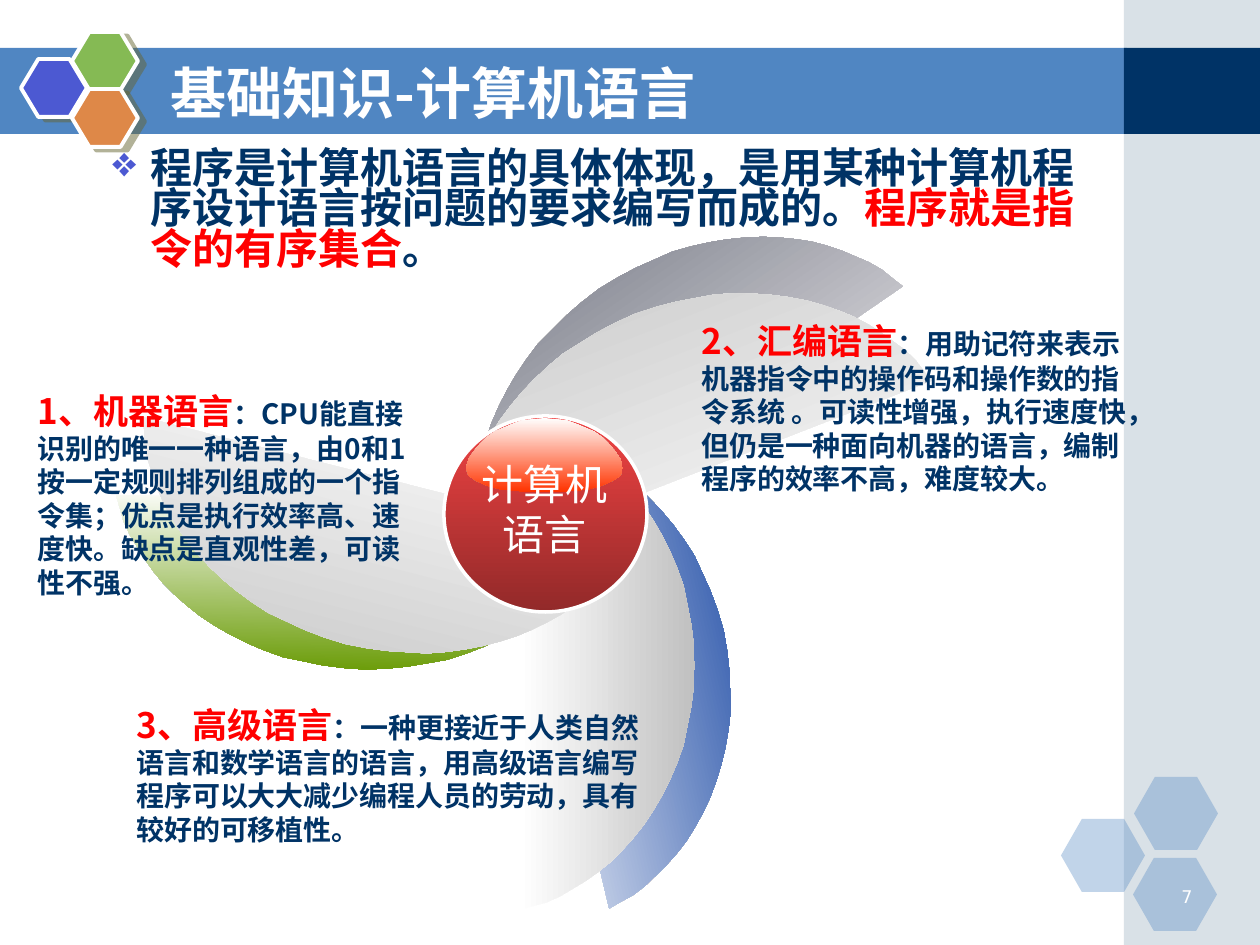
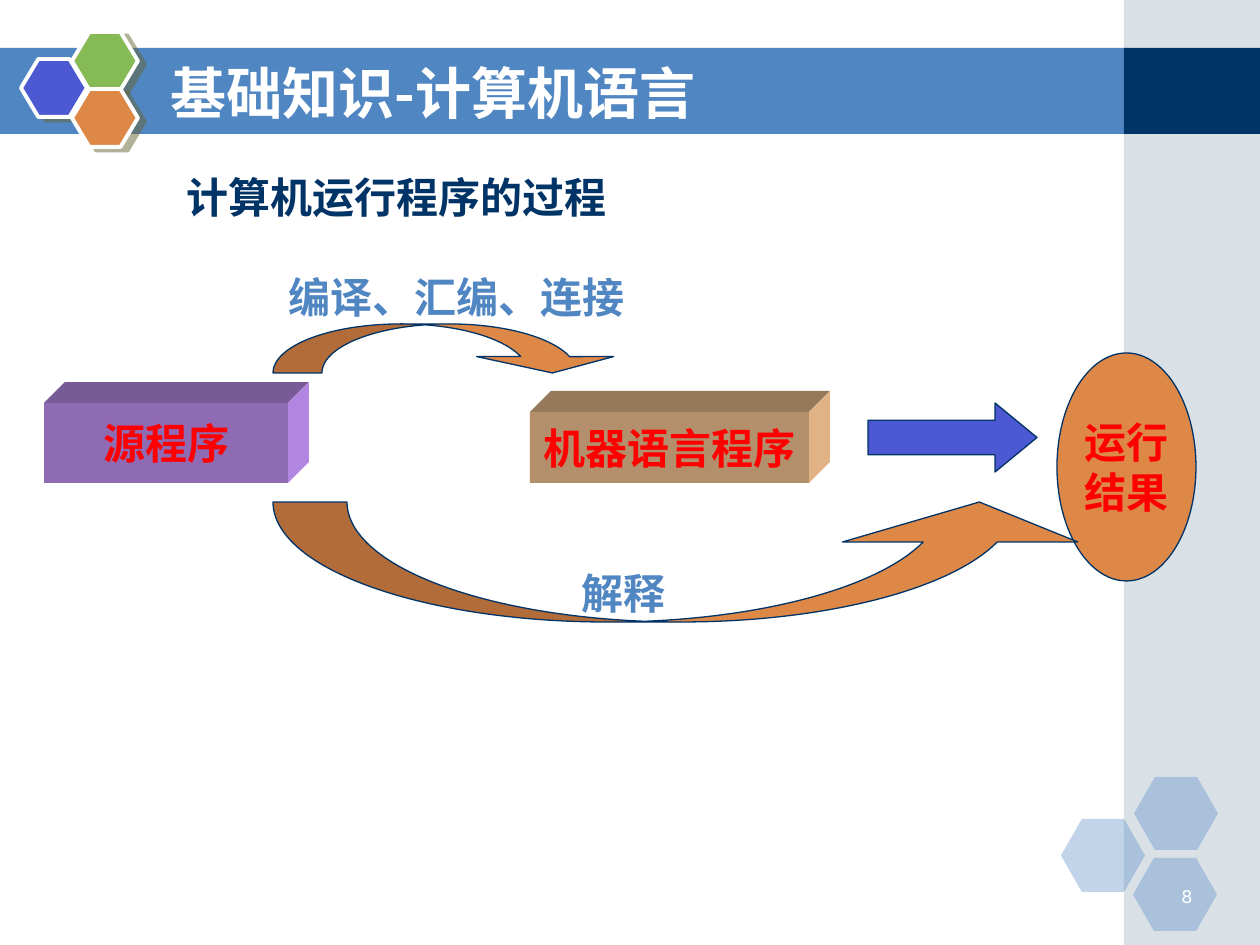
from lxml.etree import SubElement
from pptx import Presentation
from pptx.dml.color import RGBColor
from pptx.enum.shapes import MSO_SHAPE
from pptx.enum.text import MSO_ANCHOR, MSO_AUTO_SIZE, PP_ALIGN
from pptx.oxml.ns import qn
from pptx.util import Emu, Pt

SCALE = 914400 / 126  # EMU per px
C = dict(band="5086C2", side="A0B5C4", navy="003366", white="FFFFFF", red="FF0000",
         blue="4C59D2", green="85BA54", orange="DE8848", shadow="666633",
         grey="C0C0C0", petal_blue="003399", petal_green="669900", petal_grey="565868",
         ball="F14343", ball_dark="922929", gloss="FF3300")
CJK, ARIAL, NUMBER_FONT = "Noto Sans CJK SC", "Arial", "DejaVu Sans"
TITLE = "基础知识-计算机语言"

# Upper half of a petal, mirrored downwards (hundredths of an inch)
PETAL_HALF = [(0, 0), (10, 3), (21, 6), (32, 11), (42, 17), (52, 23), (62, 30), (72, 38),
              (81, 47), (90, 57), (98, 67), (106, 79), (113, 91), (119, 103), (125, 117),
              (130, 131), (133, 146), (136, 161), (138, 177), (139, 194)]
PETAL = PETAL_HALF + [(x, 388 - y) for x, y in PETAL_HALF[-2::-1]]
# Right half of the gloss on the ball, mirrored to the left
GLOSS_HALF = [(0, 0), (9, 1), (18, 2), (26, 5), (33, 8), (40, 11), (47, 16), (52, 21),
              (57, 27), (61, 33), (63, 40), (61, 46), (55, 50), (46, 54), (35, 57),
              (23, 58), (12, 59)]
GLOSS = GLOSS_HALF + [(-x, y) for x, y in GLOSS_HALF[:0:-1]]


def px(n):
    return Emu(round(n * SCALE))


def rgb(name):
    return RGBColor.from_string(C.get(name, name))


def add_run(p, text, size=24, color="navy", bold=True, font=CJK):
    r = p.add_run()
    r.text = text
    r.font.size, r.font.bold, r.font.name = Pt(size), bold, font
    r.font.color.rgb = rgb(color)
    SubElement(r._r.get_or_add_rPr(), qn("a:ea")).set("typeface", CJK)


class Deck:
    def __init__(self):
        self.prs = Presentation()
        self.prs.slide_width, self.prs.slide_height = px(1260), px(945)
        self.s = None

    # Elements
    def style(self, sp, fill, line=None, width=0.75, alpha=None):
        sp.shadow.inherit = False
        if isinstance(fill, tuple):
            first, last, angle = fill
            sp.fill.gradient()
            sp.fill.gradient_angle = angle
            for stop, color in zip(sp.fill.gradient_stops, (first, last)):
                stop.color.rgb = rgb(color)
        else:
            sp.fill.solid()
            sp.fill.fore_color.rgb = rgb(fill)
        if alpha:
            clr = sp.element.spPr.find(".//" + qn("a:srgbClr"))
            SubElement(clr, qn("a:alpha")).set("val", str(alpha * 1000))
        if line:
            sp.line.color.rgb = rgb(line)
            sp.line.width = Pt(width)
        else:
            sp.line.fill.background()
        return sp

    def shape(self, kind, box, fill, adj=(), **style):
        sp = self.s.shapes.add_shape(kind, *map(px, box))
        for i, value in enumerate(adj):
            sp.adjustments[i] = value
        return self.style(sp, fill, **style)

    def outline(self, points, box, fill, rotation=0, unit=9144):
        builder = self.s.shapes.build_freeform(*points[0], scale=unit)
        builder.add_line_segments(points[1:], close=True)
        sp = builder.convert_to_shape()
        sp.left, sp.top, sp.width, sp.height = map(px, box)
        sp.rotation = rotation
        return self.style(sp, fill)

    def shadow(self, sp):
        effects = sp.element.spPr.find(qn("a:effectLst"))
        outer = SubElement(effects, qn("a:outerShdw"), dist="57150", dir="1620000",
                           algn="ctr", rotWithShape="0")
        clr = SubElement(outer, qn("a:srgbClr"), val=C["shadow"])
        SubElement(clr, qn("a:alpha"), val="50000")

    def fill_text(self, sp, lines, align=PP_ALIGN.LEFT, anchor=MSO_ANCHOR.TOP, wrap=True,
                  **fmt):
        """Each line is a string or a list of (text, format) runs."""
        tf = sp.text_frame
        tf.auto_size, tf.word_wrap, tf.vertical_anchor = MSO_AUTO_SIZE.NONE, wrap, anchor
        for i, line in enumerate(lines):
            p = tf.add_paragraph() if i else tf.paragraphs[0]
            p.alignment = align
            for text, own in [(line, {})] if isinstance(line, str) else line:
                add_run(p, text, **{**fmt, **own})
        return tf

    def text(self, box, lines, **fmt):
        return self.fill_text(self.s.shapes.add_textbox(*map(px, box)), lines, **fmt)

    def label(self, sp, *lines):
        self.fill_text(sp, lines, align=PP_ALIGN.CENTER, anchor=MSO_ANCHOR.MIDDLE,
                       wrap=False, color="red", font=ARIAL)

    def block(self, box, front, top, side, text, depth=21):
        x, y, w, h = box
        right, bottom = x + w, y + h
        self.outline([(x, y), (x + depth, y - depth), (right + depth, y - depth), (right, y)],
                     (x, y - depth, w + depth, depth), top, unit=SCALE)
        self.outline([(right, y), (right + depth, y - depth),
                      (right + depth, bottom - depth), (right, bottom)],
                     (right, y - depth, depth, h + depth), side, unit=SCALE)
        self.label(self.shape(MSO_SHAPE.RECTANGLE, box, front), text)

    # Shared frame: bands, hexagons, title, page number
    def slide(self, title, number):
        self.s = self.prs.slides.add_slide(self.prs.slide_layouts[5])
        self.shape(MSO_SHAPE.RECTANGLE, (0, 48, 1127, 86), "band")
        self.shape(MSO_SHAPE.RECTANGLE, (1124, 0, 136, 945), "side", alpha=40)
        self.shape(MSO_SHAPE.RECTANGLE, (1124, 48, 136, 86), "navy")
        for x, y in ((1061, 819), (1134, 777), (1133, 858)):
            self.shape(MSO_SHAPE.HEXAGON, (x, y, 84, 73), "band", adj=(0.286,), alpha=35)
        for x, y, color in ((21, 59, "blue"), (72, 32, "green"), (72, 89, "orange")):
            self.shadow(self.shape(MSO_SHAPE.HEXAGON, (x, y, 66, 58), color, adj=(0.3,),
                                   line="white", width=2.25))
        sp = self.s.shapes.title
        sp.left, sp.top, sp.width, sp.height = map(px, (158, 53, 924, 78))
        self.fill_text(sp, [title], anchor=MSO_ANCHOR.MIDDLE, size=32, color="white")
        sp.element.getparent().append(sp.element)  # in front of the band
        self.text((1142, 880, 63, 32), [str(number)], align=PP_ALIGN.RIGHT, size=10,
                  color="white", bold=False, font=NUMBER_FONT)


def bullet(p, char, color, indent):
    pPr = p._p.get_or_add_pPr()
    pPr.set("marL", str(indent))
    pPr.set("indent", str(-indent))
    SubElement(SubElement(pPr, qn("a:buClr")), qn("a:srgbClr"), val=C[color])
    SubElement(pPr, qn("a:buChar"), char=char)


def languages_slide(d):
    d.slide(TITLE, 7)
    tf = d.text((100, 145, 997, 149), [[
        ("程序是计算机语言的具体体现，是用某种计算机程序设计语言按问题的要求编写而成的。", {}),
        ("程序就是指令的有序集合", dict(color="red")), ("。", {})]])
    tf.paragraphs[0].line_spacing = 0.8
    bullet(tf.paragraphs[0], "❖", "blue", px(38))

    # Pinwheel: coloured petals behind, grey petals in front
    for box, color, rotation in (
            ((551, 406, 175, 489), "petal_blue", 346.8),
            ((281, 333, 170, 503), "petal_green", 91),
            ((562, 107, 170, 504), "petal_grey", 235.5),
            ((520, 421, 175, 489), "grey", 0),
            ((281, 310, 170, 503), "grey", 104.3),
            ((581, 141, 170, 504), "grey", 248.7)):
        d.outline(PETAL, box, ("white", color, 0), rotation)

    # Central ball
    d.shape(MSO_SHAPE.OVAL, (444, 416, 203, 196), ("ball", "ball_dark", 270),
            line="white", width=2)
    d.outline(GLOSS, (466, 418, 157, 74), ("white", "gloss", 270))
    d.text((469, 452, 152, 115), ["计算机", "语言"], align=PP_ALIGN.CENTER, wrap=False,
           color="white", bold=False)

    # Descriptions
    for box, name, body in (
            ((25, 383, 407, 224), "1、机器语言",
             "：CPU能直接识别的唯一一种语言，由0和1按一定规则排列组成的一个指令集；"
             "优点是执行效率高、速度快。缺点是直观性差，可读性不强。"),
            ((689, 313, 452, 190), "2、汇编语言",
             "：用助记符来表示机器指令中的操作码和操作数的指令系统 。可读性增强，"
             "执行速度快，但仍是一种面向机器的语言，编制程序的效率不高，难度较大。"),
            ((124, 697, 534, 156), "3、高级语言",
             "：一种更接近于人类自然语言和数学语言的语言，用高级语言编写程序可以"
             "大大减少编程人员的劳动，具有较好的可移植性。")):
        d.text(box, [[(name, dict(size=20, color="red")), (body, dict(size=16))]])


def process_slide(d):
    d.slide(TITLE, 8)
    d.text((174, 165, 452, 63), ["计算机运行程序的过程"], wrap=False)

    # Stages
    d.block((44, 403, 244, 80), "8F6BB3", "785A96", "B285E0", "源程序")
    d.block((530, 412, 279, 71), "B38F6B", "96795A", "E0B285", "机器语言程序")
    d.label(d.shape(MSO_SHAPE.OVAL, (1057, 353, 139, 228), "orange", line="navy"),
            "运行", "结果")

    # Arrows between the stages
    for kind, box, color, adj in (
            (MSO_SHAPE.RIGHT_ARROW, (868, 403, 169, 69), "blue", (0.5, 0.608)),
            (MSO_SHAPE.CURVED_UP_ARROW, (273, 502, 824, 120), "orange", (0.617, 1.961, 0.333)),
            (MSO_SHAPE.CURVED_DOWN_ARROW, (273, 324, 348, 49), "orange", (1.398, 2.796, 0.333))):
        d.shape(kind, box, color, adj=adj, line="navy")
    for box, text in (((253, 265, 407, 63), "编译、汇编、连接"), ((530, 561, 188, 63), "解释")):
        d.text(box, [text], align=PP_ALIGN.CENTER, color="band", font=ARIAL)


def main():
    d = Deck()
    languages_slide(d)
    process_slide(d)
    d.prs.save("out.pptx")


if __name__ == "__main__":
    main()
